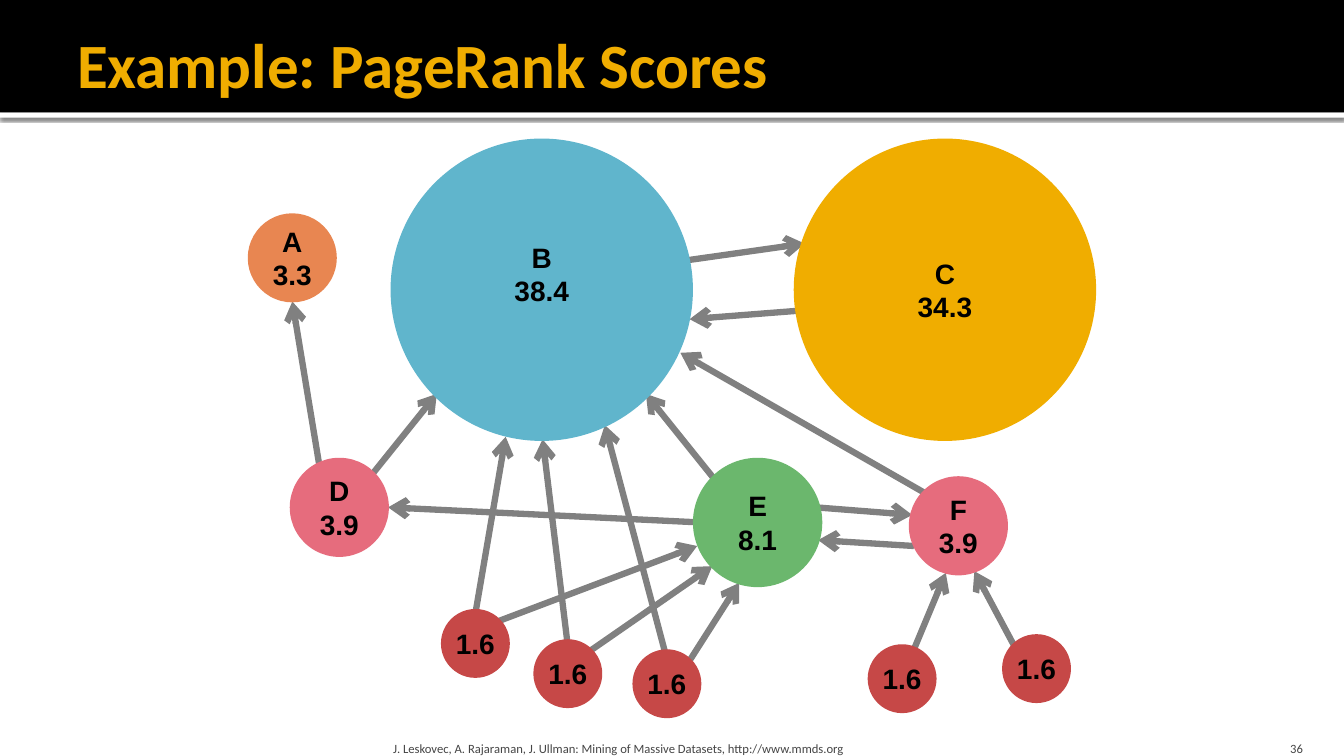
from lxml.etree import SubElement
from pptx import Presentation
from pptx.dml.color import RGBColor
from pptx.enum.shapes import MSO_CONNECTOR, MSO_SHAPE
from pptx.enum.text import MSO_ANCHOR, PP_ALIGN
from pptx.oxml.ns import qn
from pptx.util import Emu, Inches, Pt

# Content: places are cells of a grid of 160 columns by 90 rows
COLUMNS, ROWS = 160, 90
COLORS = {
    "black": "000000", "white": "FFFFFF", "gold": "F0AD00", "gray": "808080",
    "blue": "60B5CC", "green": "6BB76D", "pink": "E66C7D", "orange": "E88651",
    "red": "C64847", "footer": "454545",
}
TITLE = "Example: PageRank Scores"
FOOTER = ("J. Leskovec, A. Rajaraman, J. Ullman: "
          "Mining of Massive Datasets, http://www.mmds.org")
SLIDE_NUMBER = "36"
HEADER_ROWS, STRIP_ROWS = 13.4, 0.6
FOOTER_TOP, FOOTER_ROWS = 86.4, 3.6

# Pages: lines of text, colour, left, top, diameter, bottom inset
PAGES = [
    (["B", "38.4"], "blue", 47, 17, 35, 3.8),
    (["C", "34.3"], "gold", 95, 17, 35, 0),
    (["E", "8.1"], "green", 83, 55, 14.4, 0),
    (["F", "3.9"], "pink", 108.7, 57.2, 10.8, 0),
    (["D", "3.9"], "pink", 35, 55, 10.8, 0),
    (["A", "3.3"], "orange", 30, 25.9, 9.6, 0),
]
SMALL_SCORE, SMALL_DIAMETER = "1.6", 7.2
SMALL_PAGES = [(53, 73), (64, 76.6), (75.8, 77.8), (103.8, 77.2), (119.8, 76)]
PAGES += [([SMALL_SCORE], "red", left, top, SMALL_DIAMETER, 0)
          for left, top in SMALL_PAGES]

# Links: start and arrow tip
LINKS = [
    ((81.7, 31), (95.8, 29)),  # B to C
    ((95, 37), (82.1, 38)),  # C to B
    ((85.1, 57.1), (76.9, 46.9)),  # E to B
    ((44.2, 56.6), (52, 46.9)),  # D to B
    ((38, 55.3), (34.8, 35.9)),  # D to A
    ((56.6, 73), (60.2, 52)),  # small pages to B and E
    ((59.2, 74), (83, 65)),
    ((83.4, 62.2), (46.2, 60.4)),  # E to D
    ((67.6, 76.9), (64.6, 52.3)),  # small pages to B and E
    ((69.8, 77.8), (84.8, 67.4)),
    ((82, 78.8), (88, 69.4)),
    ((79.4, 78.5), (72, 50.6)),
    ((108.6, 77.8), (112.6, 68.2)),  # small pages to F
    ((120.8, 77), (116, 68)),
    ((110.3, 58.8), (81, 42)),  # F to B
    ((108.8, 65), (97.4, 64.3)),  # F to E
    ((97.1, 60.4), (108.6, 61.3)),  # E to F
]

presentation = Presentation()
presentation.slide_width = Emu(12192000)
presentation.slide_height = Inches(7.5)
CELL = presentation.slide_width / COLUMNS
slide = presentation.slides.add_slide(presentation.slide_layouts[6])


def cells(*counts):
    return [Emu(round(count * CELL)) for count in counts]


def color(name):
    return RGBColor.from_string(COLORS[name])


def write(shape, lines, size, font, ink, bold, align, anchor, insets, wrap):
    frame = shape.text_frame
    frame.word_wrap = wrap
    frame.vertical_anchor = anchor
    (frame.margin_left, frame.margin_top,
     frame.margin_right, frame.margin_bottom) = cells(*insets)
    for index, line in enumerate(lines):
        paragraph = frame.add_paragraph() if index else frame.paragraphs[0]
        paragraph.alignment = align
        run = paragraph.add_run()
        run.text = line
        run.font.size = Pt(size)
        run.font.name = font
        run.font.bold = bold
        run.font.color.rgb = color(ink)


def add_filled(kind, box, fill, line_width=0):
    shape = slide.shapes.add_shape(kind, *cells(*box))
    shape.shadow.inherit = False
    shape.fill.solid()
    shape.fill.fore_color.rgb = color(fill)
    if line_width:
        shape.line.color.rgb = color(fill)
        shape.line.width = Pt(line_width)
    else:
        shape.line.fill.background()
    return shape


def add_text(box, text, size, ink, bold, align, anchor, insets):
    shape = slide.shapes.add_textbox(*cells(*box))
    write(shape, [text], size, "Calibri", ink, bold, align, anchor, insets, True)


# Header band over a white strip with a soft shadow
strip = add_filled(MSO_SHAPE.RECTANGLE, (0, HEADER_ROWS, COLUMNS, STRIP_ROWS), "white")
effects = strip._element.spPr.find(qn("a:effectLst"))
shadow = SubElement(effects, qn("a:outerShdw"), blurRad=str(Pt(2.5)),
                    dist=str(Pt(0.8)), dir="5400000", algn="t", rotWithShape="0")
shade = SubElement(shadow, qn("a:srgbClr"), val=COLORS["black"])
SubElement(shade, qn("a:alpha"), val="60000")
add_filled(MSO_SHAPE.RECTANGLE, (0, 0, COLUMNS, HEADER_ROWS), "black")
add_text((8, 2, 144, 11), TITLE, 45, "gold", True, PP_ALIGN.LEFT,
         MSO_ANCHOR.MIDDLE, (1.2, 0.6, 0.6, 0.6))

# Links lie behind the pages
for start, tip in LINKS:
    link = slide.shapes.add_connector(MSO_CONNECTOR.STRAIGHT, *cells(*start, *tip))
    link.line.color.rgb = color("gray")
    link.line.width = Pt(4.5)
    SubElement(link.line._get_or_add_ln(), qn("a:tailEnd"), type="arrow")
    SubElement(link._element.spPr, qn("a:effectLst"))

# Pages, sized by score
for lines, fill, left, top, diameter, bottom in PAGES:
    page = add_filled(MSO_SHAPE.OVAL, (left, top, diameter, diameter), fill, 6)
    write(page, lines, 20, "Arial", "black", True, PP_ALIGN.CENTER,
          MSO_ANCHOR.MIDDLE, (0, 0, 0, bottom), False)

# Slide number and footer
add_text((143.5, FOOTER_TOP, 12.8, FOOTER_ROWS), SLIDE_NUMBER, 9, "footer", False,
         PP_ALIGN.RIGHT, MSO_ANCHOR.BOTTOM, (1.2, 0.6, 1.2, 0))
add_text((46.2, FOOTER_TOP, 96.4, FOOTER_ROWS), FOOTER, 9, "footer", False,
         PP_ALIGN.LEFT, MSO_ANCHOR.BOTTOM, (0.6, 0.6, 0.6, 0))

presentation.save("out.pptx")
